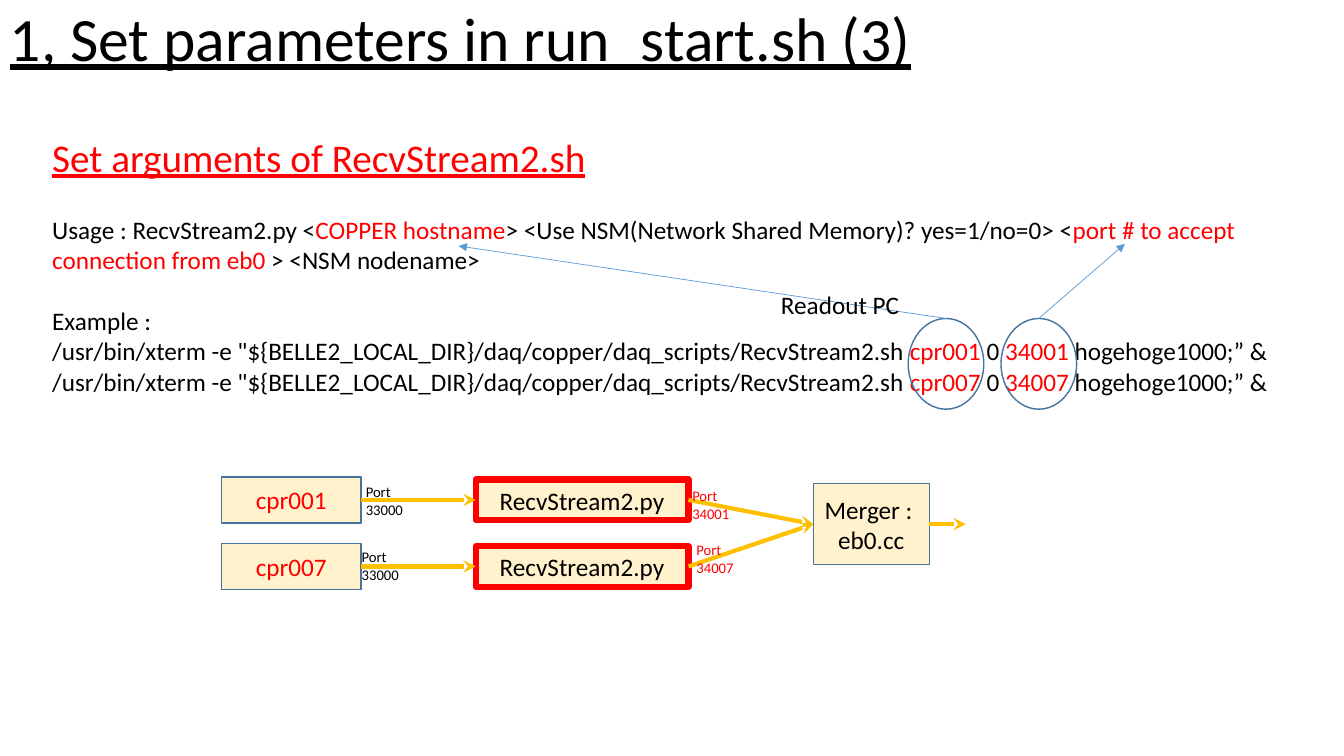
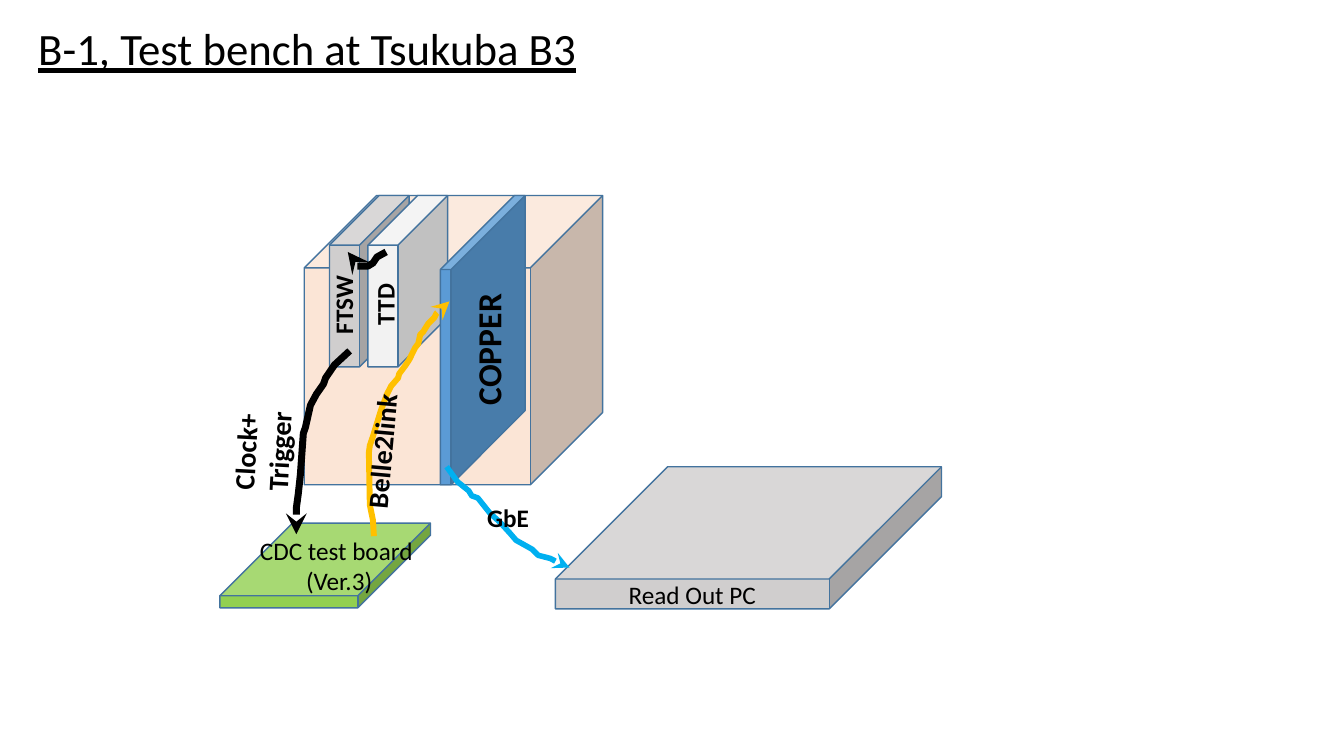
from pptx import Presentation
from pptx.dml.color import RGBColor
from pptx.enum.shapes import MSO_CONNECTOR, MSO_SHAPE
from pptx.enum.text import MSO_ANCHOR, MSO_AUTO_SIZE, PP_ALIGN
from pptx.oxml.ns import qn
from pptx.util import Pt
from lxml import etree

RECTANGLE, ELLIPSE, CUBE = MSO_SHAPE.RECTANGLE, MSO_SHAPE.OVAL, MSO_SHAPE.CUBE
STRAIGHT = MSO_CONNECTOR.STRAIGHT
LEFT, CENTER = PP_ALIGN.LEFT, PP_ALIGN.CENTER
TOP, MIDDLE = MSO_ANCHOR.TOP, MSO_ANCHOR.MIDDLE
GROW = MSO_AUTO_SIZE.SHAPE_TO_FIT_TEXT

FONT = "Calibri"
BLACK, RED, GOLD, CYAN = "000000", "FF0000", "FFC000", "00B0F0"
OUTLINE, BLUE, CREAM = "43739E", "5B9BD5", "FFF2CC"
PEACH, GREY, PALE, GREEN = "FBE5D6", "D0CECE", "F2F2F2", "92D050"


# Shared helpers
def rgb(value):
    return RGBColor.from_string(value)


def lengths(values):
    return [Pt(value) for value in values]


def shifted(box, left, top, width, height):
    return box[0] + left, box[1] + top, width, height


def add_paragraph(frame, spans, size, color=BLACK, bold=False,
                  underline=False, align=LEFT, before=0, spacing=None):
    """Write one paragraph; a span is a text or a (text, color) pair."""
    first = frame.paragraphs[0]
    para = frame.add_paragraph() if first.runs else first
    para.alignment = align
    para.space_before = Pt(before)
    if spacing:
        para.line_spacing = spacing
    for span in spans:
        words, shade = (span, color) if isinstance(span, str) else span
        run = para.add_run()
        run.text = words
        run.font.name, run.font.size = FONT, Pt(size)
        run.font.bold, run.font.underline = bold, underline
        run.font.color.rgb = rgb(shade)


def add_text_box(page, box, wrap=True, anchor=TOP, rotation=0):
    text_box = page.shapes.add_textbox(*lengths(box))
    text_box.rotation = rotation
    frame = text_box.text_frame
    frame.word_wrap, frame.vertical_anchor = wrap, anchor
    if not wrap:
        frame.auto_size = GROW
    return frame


def add_label(page, box, lines, size, rotation=0, **style):
    frame = add_text_box(page, box, wrap=False, rotation=rotation)
    for line in lines:
        add_paragraph(frame, [line], size, **style)


def add_solid(page, kind, box, fill=None, line=OUTLINE, weight=1,
              lines=(), color=BLACK):
    solid = page.shapes.add_shape(kind, *lengths(box))
    solid.shadow.inherit = False
    if fill:
        solid.fill.solid()
        solid.fill.fore_color.rgb = rgb(fill)
    else:
        solid.fill.background()
    set_line(solid, line, weight)
    solid.text_frame.vertical_anchor = MIDDLE
    for words in lines:
        add_paragraph(solid.text_frame, [words], 18, color, align=CENTER)
    return solid


def set_line(item, color, weight, arrow=None):
    item.line.color.rgb = rgb(color)
    item.line.width = Pt(weight)
    if arrow:
        outline = item.element.spPr.find(qn("a:ln"))
        etree.SubElement(outline, qn("a:tailEnd"), type=arrow)


def add_arrow(page, start, end, color=GOLD, weight=3, arrow="stealth"):
    link = page.shapes.add_connector(STRAIGHT, *lengths(start + end))
    set_line(link, color, weight, arrow)
    etree.SubElement(link.element.spPr, qn("a:effectLst"))


def add_cable(page, box, points, color, weight):
    route = [lengths((box[0] + x, box[1] + y)) for x, y in points]
    builder = page.shapes.build_freeform(*route[0], scale=1.0)
    builder.add_line_segments(route[1:], close=False)
    cable = builder.convert_to_shape()
    cable.shadow.inherit = False
    cable.fill.background()
    set_line(cable, color, weight, "stealth")
    return cable


def add_title(page, box, words, size, wrap=True, anchor=TOP, spacing=None):
    frame = add_text_box(page, box, wrap, anchor)
    add_paragraph(frame, [words], size, underline=True, spacing=spacing)


# Slide 1: usage text with the arguments circled
def add_usage(page, box):
    frame = add_text_box(page, box)
    add_paragraph(frame, ["Set arguments of RecvStream2.sh"], 28, RED, underline=True)
    add_paragraph(frame, [
        "Usage : RecvStream2.py <", ("COPPER hostname", RED),
        "> <Use NSM(Network Shared Memory)? yes=1/no=0> <",
        ("port # to accept connection from eb0 ", RED),
        "> <NSM nodename>"], 18, before=24.4)
    add_paragraph(frame, ["Example : "], 18, before=22)
    command = ('/usr/bin/xterm -e "${BELLE2_LOCAL_DIR}'
               "/daq/copper/daq_scripts/RecvStream2.sh ")
    for number in ("001", "007"):
        add_paragraph(frame, [command, ("cpr" + number, RED), " 0 ",
                              ("34" + number, RED), " hogehoge1000;\u201d &"], 18)

    # Circles, each with an arrow to the argument it explains
    for left, target in ((618.5, (297.4, 84.3)), (684.8, (773.3, 82.8))):
        circle = shifted(box, left, 136.1, 54, 64.8)
        add_solid(page, ELLIPSE, circle)
        add_arrow(page, (circle[0] + 27, circle[1]),
                  (box[0] + target[0], box[1] + target[1]),
                  BLUE, 0.5, "triangle")
    add_label(page, shifted(box, 520.6, 111.6, 100, 28.8), ["Readout PC"], 18)


# Slide 1: data flow from the hosts to the merger
def add_data_flow(page, box):
    left, top = box[:2]
    merger = shifted(box, 422.6, 5, 82.8, 57.6)
    merger_middle = merger[1] + merger[3] / 2
    add_solid(page, RECTANGLE, merger, CREAM, lines=["Merger : ", "eb0.cc"])
    merger_right = merger[0] + merger[2]
    add_arrow(page, (merger_right, merger_middle), (merger_right + 26, merger_middle))

    rows = (("001", (95.8, 0.7), (329, 3.6)),
            ("007", (92.9, 47.5), (332, 42.5)))
    for row, (number, port_in, port_out) in enumerate(rows):
        offset = row * 47.5
        middle = top + offset + 16.5
        add_solid(page, RECTANGLE, shifted(box, 0, offset, 99.4, 33),
                  CREAM, lines=["cpr" + number], color=RED)
        add_solid(page, RECTANGLE, shifted(box, 181.4, offset + 2, 152, 29),
                  CREAM, RED, 4.5, ["RecvStream2.py"])
        add_arrow(page, (left + 99.4, middle), (left + 181.4, middle))
        add_arrow(page, (left + 333.4, middle), (merger[0], merger_middle))
        for place, port, color in ((port_in, "33000", BLACK),
                                   (port_out, "34" + number, RED)):
            add_label(page, shifted(box, *place, 41.8, 32.4),
                      ["Port", port], 10.5, color=color)


# Slide 2: crate, boards and computer
def add_test_bench(page, box):
    cubes = (
        ((60.4, 0, 213.1, 206.6), 0.25, PEACH, ()),
        ((239.7, 193.7, 275.8, 101.5), 0.79, GREY, ["Read Out PC"]),
        ((0, 234, 150.5, 60.5), 0.858, GREEN, ()),
        ((78.4, 0, 56.9, 122.4), 0.623, GREY, ()),
        ((105.8, 0, 56.9, 122.4), 0.623, PALE, ()),
        ((157.6, 0, 60.5, 206.6), 0.874, BLUE, ()))
    for place, depth, fill, lines in cubes:
        cube = add_solid(page, CUBE, shifted(box, *place), fill, lines=lines)
        cube.adjustments[0] = depth

    # Cables, drawn towards their arrowheads
    board_to_copper = (
        (110.1, 243.3), (109.4, 231.8), (107.2, 221), (106.5, 183.6),
        (107.2, 178.5), (109.4, 172.1), (112.3, 162.7), (115.2, 153.3),
        (119.5, 141.8), (122.4, 136.1), (127.4, 130.3), (128.1, 127.4),
        (132.4, 121.7), (135.3, 117.3), (139.6, 108.7), (141.8, 105.8),
        (143.2, 99.3), (145.4, 97.2), (149, 91.4), (153.3, 87.1),
        (154.8, 84.2), (164.1, 75.6))
    copper_to_computer = (
        (162, 193.7), (169.9, 204.5), (177.8, 210.9), (180, 214.5),
        (184.3, 216), (192.9, 226.8), (200.1, 233.3), (207.3, 241.2),
        (211.6, 246.2), (223.2, 252.7), (227.5, 257), (236.1, 259.2),
        (248.4, 265.7), (249.8, 265.7))
    ttd_to_ftsw = (
        (118.8, 40.3), (112.3, 43.9), (109.4, 48.2), (105.8, 50.4),
        (96.4, 50.4), (91.4, 45.3), (91.4, 40.3))
    ftsw_to_board = (
        (92.8, 110.9), (82, 120.9), (75.6, 130.3), (74.1, 134.6),
        (69.1, 141.8), (64.8, 149.7), (61.2, 165.6), (59.7, 169.9),
        (57.6, 199.4), (56.1, 213.1), (54.7, 223.2), (54.7, 241.9))
    add_cable(page, box, board_to_copper, GOLD, 4.25)
    ethernet = add_cable(page, box, copper_to_computer, CYAN, 4)
    ethernet.text_frame.vertical_anchor = MIDDLE
    add_paragraph(ethernet.text_frame, ["GbE"], 18, bold=True, align=CENTER)
    add_cable(page, box, ttd_to_ftsw, BLACK, 5)
    add_cable(page, box, ftsw_to_board, BLACK, 5)

    # Labels
    add_label(page, shifted(box, 20.8, 239, 128.9, 51.1),
              ["CDC test board ", "(Ver.3)"], 18, align=CENTER)
    turned_labels = (
        ((144, 91.4, 95, 36), ["COPPER"], 24, 270),
        ((59.7, 63.3, 56.9, 28.8), ["FTSW"], 18, 270),
        ((95.7, 63.3, 43.9, 28.8), ["TTD"], 18, 270),
        ((67.6, 166.3, 96.5, 31.7), ["Belle2link"], 20, 275.1),
        ((-5.8, 154.1, 72, 55.4), ["Clock+", "Trigger"], 20, 272.9))
    for place, lines, size, rotation in turned_labels:
        add_label(page, shifted(box, *place), lines, size, rotation, bold=True)


# Deck
deck = Presentation()
deck.slide_width, deck.slide_height = Pt(960), Pt(540)
blank = deck.slide_layouts[6]

parameters = deck.slides.add_slide(blank)
add_title(parameters, (0, 0, 828, 59), "1, Set parameters in run_start.sh (3)",
          44, anchor=MIDDLE, spacing=0.9)
add_usage(parameters, (30.2, 91.4, 900, 218.2))
add_data_flow(parameters, (158.4, 340.6, 531.4, 80.5))

bench = deck.slides.add_slide(blank)
add_title(bench, (20.2, 11.5, 402.5, 46), "B-1, Test bench at Tsukuba B3", 32, wrap=False)
add_test_bench(bench, (157, 139.7, 515.5, 295.2))

deck.save("out.pptx")
